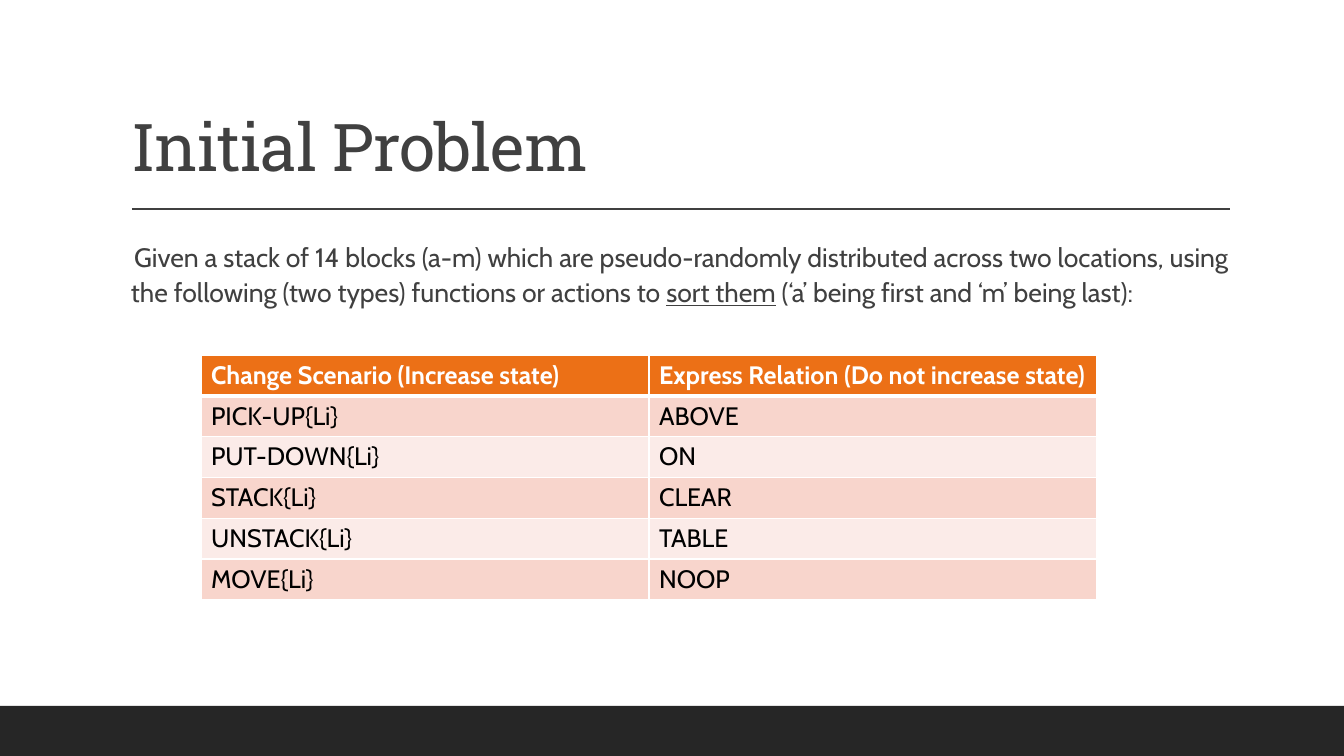
from dataclasses import dataclass

from pptx import Presentation
from pptx import util as u
from pptx.dml.color import RGBColor
from pptx.enum import shapes, text
from pptx.oxml import parse_xml
from pptx.oxml.ns import nsdecls

TITLE = "Initial Problem"
PROBLEM = [
    ("Given a stack of 14 blocks (a-m) which are pseudo-randomly distributed across two locations, "
     "using the following (two types) functions or actions to ", False),
    ("sort them", True),
    (" (‘a’ being first and ‘m’ being last):", False),
]
FUNCTIONS = [
    ("Change Scenario (Increase state)", "Express Relation (Do not increase state)"),
    ("PICK-UP{Li}", "ABOVE"),
    ("PUT-DOWN{Li}", "ON"),
    ("STACK{Li}", "CLEAR"),
    ("UNSTACK{Li}", "TABLE"),
    ("MOVE{Li}", "NOOP"),
]

SCALE = 914400 / 100.8
SLIDE = (1344, 756)
FOOTER_BOX = (0, 706, 1344, 50)
RULE = (132, 209, 1230, 209)
TITLE_BOX = (121, 31, 1109, 160)
PROBLEM_BOX = (121, 233, 1109, 414)
TABLE_BOX = (201, 355, 896, 245)
INSET = 5
INDENT = 10


@dataclass(frozen=True)
class Theme:
    ink: str = "404040"
    footer: str = "262626"
    accent: str = "EC7016"
    bands: tuple = ("F8D5CC", "FBEBE8")
    white: str = "FFFFFF"
    black: str = "000000"
    heading_font: str = "Roboto Slab"
    body_font: str = "Cabin"
    title_size: int = 47
    body_size: int = 19
    table_size: int = 18
    thin: int = 1
    thick: int = 3


THEME = Theme()


def px(*lengths):
    return [round(length * SCALE) for length in lengths]


def apply(target, values):
    for name, value in values.items():
        setattr(target, name, value)


def add_run(paragraph, words, color, **font):
    run = paragraph.add_run()
    run.text = words
    apply(run.font, font)
    run.font.color.rgb = RGBColor.from_string(color)
    return run


def paint(fill, color):
    fill.solid()
    fill.fore_color.rgb = RGBColor.from_string(color)


def add_footer(slide):
    shape = slide.shapes.add_shape(shapes.MSO_SHAPE.RECTANGLE, *px(*FOOTER_BOX))
    shape.shadow.inherit = False
    paint(shape.fill, THEME.footer)
    shape.line.fill.background()


def add_rule(slide):
    rule = slide.shapes.add_connector(shapes.MSO_CONNECTOR.STRAIGHT, *px(*RULE))
    apply(rule.line, {"width": u.Pt(THEME.thin)})
    rule.line.color.rgb = RGBColor.from_string(THEME.ink)
    rule._element.spPr.append(parse_xml(f"<a:effectLst {nsdecls('a')}/>"))


def format_title(slide):
    title = slide.shapes.title
    apply(title, dict(zip(("left", "top", "width", "height"), px(*TITLE_BOX))))
    apply(title.text_frame, {"vertical_anchor": text.MSO_ANCHOR.BOTTOM, "word_wrap": True,
                             "auto_size": text.MSO_AUTO_SIZE.NONE})
    paragraph = title.text_frame.paragraphs[0]
    apply(paragraph, {"alignment": text.PP_ALIGN.LEFT, "line_spacing": 0.9})
    run = add_run(paragraph, TITLE, THEME.ink, name=THEME.heading_font, size=u.Pt(THEME.title_size))
    run._r.get_or_add_rPr().set("spc", "-50")


def add_problem(slide):
    frame = slide.shapes.add_textbox(*px(*PROBLEM_BOX)).text_frame
    inset, indent = px(INSET, INDENT)
    apply(frame, {"word_wrap": True, "margin_left": 0, "margin_right": 0,
                  "margin_top": inset, "margin_bottom": inset})
    paragraph = frame.paragraphs[0]
    apply(paragraph, {"line_spacing": 1.1, "space_before": u.Pt(12), "space_after": u.Pt(2)})
    properties = paragraph._p.get_or_add_pPr()
    properties.set("marL", str(indent))
    properties.set("indent", str(-indent))
    properties.append(parse_xml(f'<a:buChar {nsdecls("a")} char=" "/>'))
    for words, underline in PROBLEM:
        add_run(paragraph, words, THEME.ink, name=THEME.body_font,
                size=u.Pt(THEME.body_size), underline=underline)


def add_borders(cell, widths):
    properties = cell._tc.get_or_add_tcPr()
    for place, (side, width) in enumerate(widths.items()):
        properties.insert(place, parse_xml(
            f'<a:ln{side} {nsdecls("a")} w="{u.Pt(width)}"><a:solidFill>'
            f'<a:srgbClr val="{THEME.white}"/></a:solidFill></a:ln{side}>'))


def add_functions(slide):
    row_count, column_count = len(FUNCTIONS), len(FUNCTIONS[0])
    table = slide.shapes.add_table(row_count, column_count, *px(*TABLE_BOX)).table
    for row_index, labels in enumerate(FUNCTIONS):
        header = row_index == 0
        fill = THEME.accent if header else THEME.bands[(row_index - 1) % 2]
        widths = {"L": THEME.thin, "R": THEME.thin,
                  "T": THEME.thick if row_index == 1 else THEME.thin,
                  "B": THEME.thick if header else THEME.thin}
        for column_index, label in enumerate(labels):
            cell = table.cell(row_index, column_index)
            paint(cell.fill, fill)
            add_borders(cell, widths)
            add_run(cell.text_frame.paragraphs[0], label, THEME.white if header else THEME.black,
                    name=THEME.body_font, size=u.Pt(THEME.table_size), bold=header)


def main():
    presentation = Presentation()
    apply(presentation, dict(zip(("slide_width", "slide_height"), px(*SLIDE))))
    slide = presentation.slides.add_slide(presentation.slide_layouts.get_by_name("Title Only"))
    paint(slide.background.fill, THEME.white)
    add_footer(slide)
    add_rule(slide)
    format_title(slide)
    add_problem(slide)
    add_functions(slide)
    presentation.save("out.pptx")


if __name__ == "__main__":
    main()
